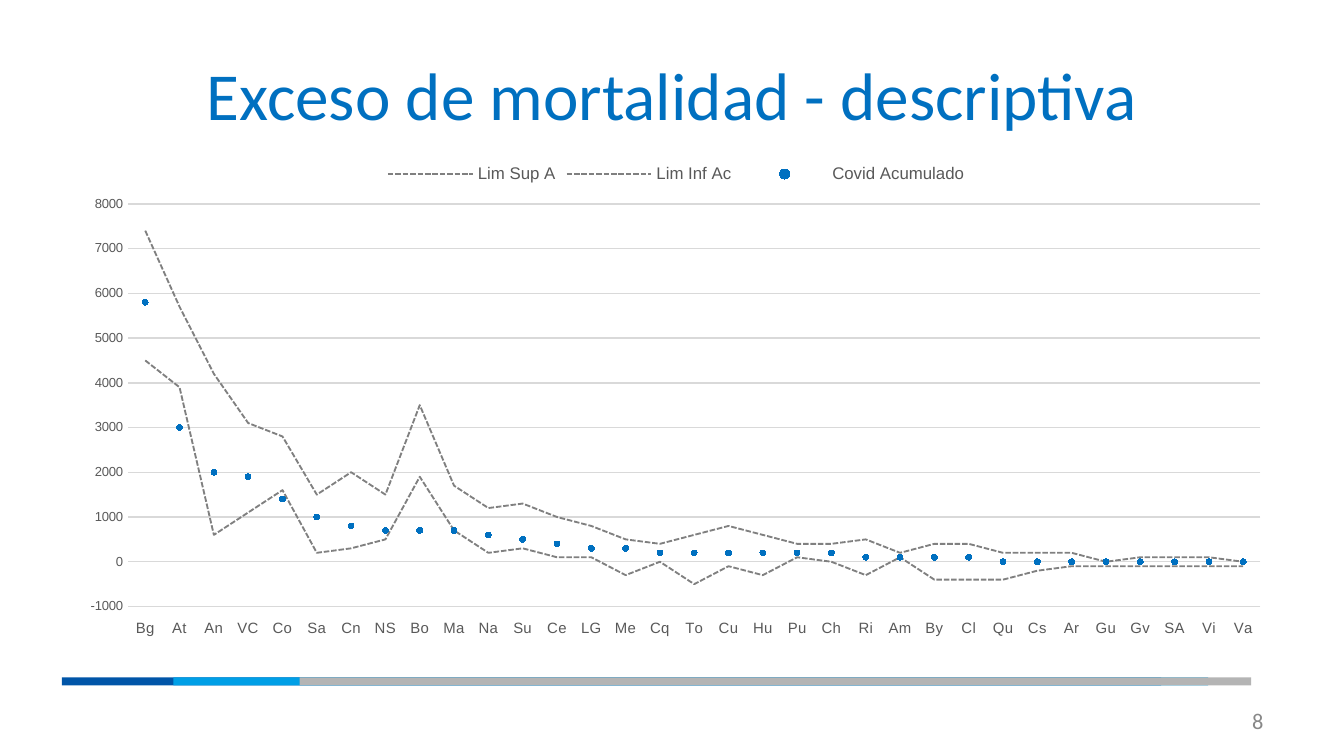
"""Build the slide on excess mortality with its line chart by department."""
from lxml import etree
from pptx import Presentation
from pptx.chart.data import CategoryChartData
from pptx.dml.color import RGBColor
from pptx.enum.chart import (XL_CHART_TYPE, XL_LEGEND_POSITION, XL_MARKER_STYLE,
                             XL_TICK_LABEL_POSITION, XL_TICK_MARK)
from pptx.enum.dml import MSO_LINE
from pptx.enum.shapes import MSO_SHAPE
from pptx.enum.text import MSO_ANCHOR, PP_ALIGN
from pptx.oxml.ns import qn
from pptx.util import Inches, Pt

BLUE = RGBColor(0x00, 0x70, 0xC0)
DARK_BLUE = RGBColor(0x00, 0x55, 0xA8)
LIGHT_BLUE = RGBColor(0x00, 0x9F, 0xE6)
BAR_GRAY = RGBColor(0xB4, 0xB4, 0xB4)
LIMIT_GRAY = RGBColor(0x80, 0x80, 0x80)
GRID_GRAY = RGBColor(0xD9, 0xD9, 0xD9)
LABEL_GRAY = RGBColor(0x59, 0x59, 0x59)
NUMBER_GRAY = RGBColor(0x88, 0x88, 0x88)

DEPARTMENTS = ("Bg At An VC Co Sa Cn NS Bo Ma Na Su Ce LG Me Cq To Cu Hu Pu Ch "
               "Ri Am By Cl Qu Cs Ar Gu Gv SA Vi Va").split()
SERIES = {
    "Lim Sup A": [4500, 3900, 600, 1100, 1600, 200, 300, 500, 1900, 700, 200,
                  300, 100, 100, -300, 0, -500, -100, -300, 100, 0, -300, 100,
                  -400, -400, -400, -200, -100, -100, -100, -100, -100, -100],
    "Lim Inf Ac": [7400, 5700, 4200, 3100, 2800, 1500, 2000, 1500, 3500, 1700,
                   1200, 1300, 1000, 800, 500, 400, 600, 800, 600, 400, 400,
                   500, 200, 400, 400, 200, 200, 200, 0, 100, 100, 100, 0],
    "Covid Acumulado": [5800, 3000, 2000, 1900, 1400, 1000, 800, 700, 700, 700,
                        600, 500, 400, 300, 300, 200, 200, 200, 200, 200, 200,
                        100, 100, 100, 100, 0, 0, 0, 0, 0, 0, 0, 0],
}


def style_font(font, name, size, color):
    font.name = name
    font.size = Pt(size)
    font.color.rgb = color


presentation = Presentation()
presentation.slide_width = Inches(10)
presentation.slide_height = Inches(10 * 9 / 16)
slide = presentation.slides.add_slide(presentation.slide_layouts[5])

for left, right, color in [(0.46, 8.64, DARK_BLUE), (1.29, 8.99, LIGHT_BLUE),
                           (2.23, 9.31, BAR_GRAY)]:
    band = slide.shapes.add_shape(MSO_SHAPE.RECTANGLE, Inches(left), Inches(5.04),
                                  Inches(right - left), Inches(0.06))
    band.shadow.inherit = False
    band.fill.solid()
    band.fill.fore_color.rgb = color
    band.line.fill.background()

heading = slide.shapes.title
heading.left, heading.top = Inches(0.5), Inches(0.23)
heading.width, heading.height = Inches(9), Inches(0.94)
heading.text_frame.text = "Exceso de mortalidad - descriptiva"
heading.text_frame.vertical_anchor = MSO_ANCHOR.MIDDLE
heading_line = heading.text_frame.paragraphs[0]
heading_line.alignment = PP_ALIGN.CENTER
style_font(heading_line.font, "Calibri", 36, BLUE)

page_number = slide.shapes.add_textbox(Inches(7.17), Inches(5.21),
                                       Inches(2.33), Inches(0.3)).text_frame
page_number.word_wrap = True
page_number.vertical_anchor = MSO_ANCHOR.MIDDLE
page_number.text = "8"
page_number.paragraphs[0].alignment = PP_ALIGN.RIGHT
style_font(page_number.paragraphs[0].font, "Calibri", 12, NUMBER_GRAY)

mortality = CategoryChartData()
mortality.categories = DEPARTMENTS
for name, values in SERIES.items():
    mortality.add_series(name, values)
chart = slide.shapes.add_chart(XL_CHART_TYPE.LINE_MARKERS, Inches(0.5), Inches(1.11),
                               Inches(9.06), Inches(3.7), mortality).chart
chart.font.name = "Arial"
chart.font.size = Pt(10)
chart.has_title = False
chart.has_legend = True
chart.legend.position = XL_LEGEND_POSITION.TOP
chart.legend.include_in_layout = False
style_font(chart.legend.font, "Arial", 9, LABEL_GRAY)

plot = chart.plots[0]
plot.vary_by_categories = False
for series in plot.series:
    series.smooth = False
    if series.name.startswith("Lim"):
        series.marker.style = XL_MARKER_STYLE.NONE
        series.format.line.color.rgb = LIMIT_GRAY
        series.format.line.width = Pt(1)
        series.format.line.dash_style = MSO_LINE.SQUARE_DOT
    else:
        series.format.line.fill.background()
        series.marker.style = XL_MARKER_STYLE.CIRCLE
        series.marker.size = 3
        series.marker.format.fill.solid()
        series.marker.format.fill.fore_color.rgb = BLUE
        series.marker.format.line.color.rgb = BLUE

department_axis, deaths_axis = chart.category_axis, chart.value_axis
for axis, size in [(department_axis, 8), (deaths_axis, 7)]:
    axis.major_tick_mark = XL_TICK_MARK.NONE
    axis.minor_tick_mark = XL_TICK_MARK.NONE
    style_font(axis.tick_labels.font, "Arial", size, LABEL_GRAY)
department_axis.tick_label_position = XL_TICK_LABEL_POSITION.LOW
deaths_axis.minimum_scale, deaths_axis.maximum_scale = -1000, 8000
deaths_axis.major_unit = 1000
deaths_axis.format.line.fill.background()
deaths_axis.has_major_gridlines = True
for line in (department_axis.format.line, deaths_axis.major_gridlines.format.line):
    line.color.rgb = GRID_GRAY
    line.width = Pt(0.75)

plot_area = chart.element.chart.plotArea
for old_layout in plot_area.findall(qn("c:layout")):
    plot_area.remove(old_layout)
layout = etree.Element(qn("c:layout"))
manual = etree.SubElement(layout, qn("c:manualLayout"))
for tag, value in [("layoutTarget", "inner"), ("xMode", "edge"), ("yMode", "edge"),
                   ("x", "0.05"), ("y", "0.11"), ("w", "0.93"), ("h", "0.81")]:
    etree.SubElement(manual, qn(f"c:{tag}")).set("val", value)
plot_area.insert(0, layout)

presentation.save("out.pptx")
